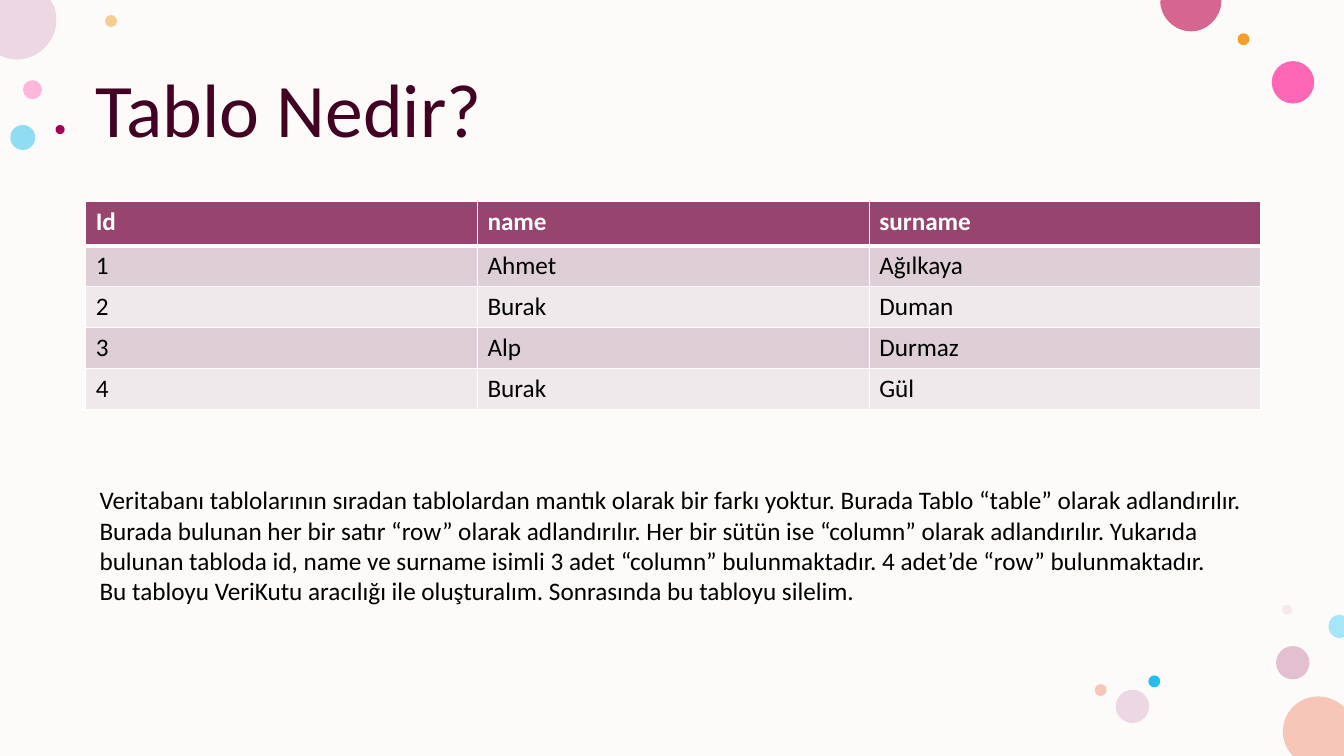
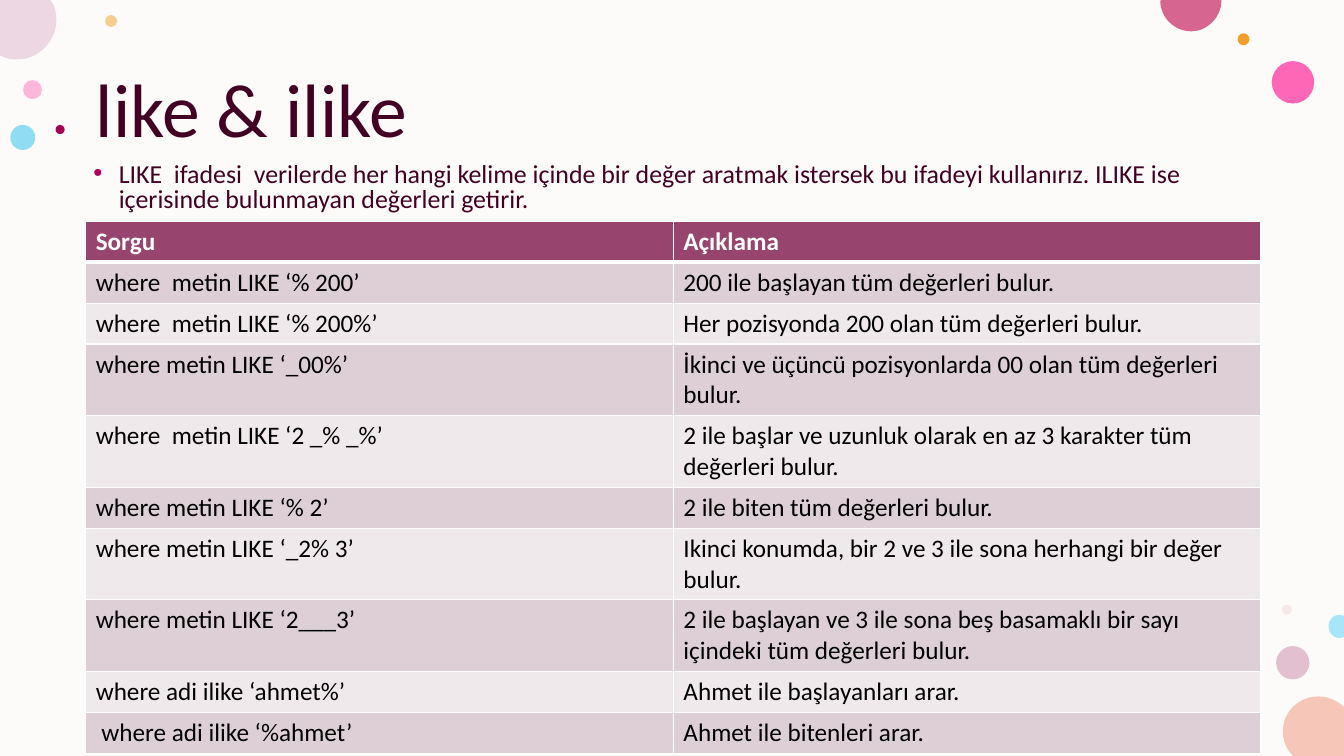
from dataclasses import dataclass
from itertools import chain

from lxml.etree import SubElement
from pptx import Presentation
from pptx.dml.color import RGBColor
from pptx.enum.shapes import MSO_SHAPE
from pptx.enum.text import MSO_ANCHOR, MSO_AUTO_SIZE, PP_ALIGN
from pptx.oxml.ns import qn
from pptx.presentation import Presentation as Deck
from pptx.shapes.autoshape import Shape
from pptx.slide import Slide
from pptx.table import _Cell as Cell
from pptx.text.text import _Paragraph as Paragraph
from pptx.util import Cm, Pt

Point = tuple[float, float]


@dataclass(frozen=True)
class Theme:
    font: str = "Calibri"
    background: str = "FDFBF9"
    heading: str = "420023"
    text: str = "000000"
    bullet: str = "B1005E"
    header_fill: str = "97446E"
    header_text: str = "FFFFFF"
    border: str = "FFFFFF"
    bands: tuple[str, str] = ("DDCFD5", "EFE9EB")
    title_size: float = 54
    bullet_size: float = 18.5
    text_size: float = 18
    thin: float = 1
    thick: float = 3


@dataclass(frozen=True)
class Bubble:
    left: float
    top: float
    diameter: float
    color: str
    opacity: int = 100


@dataclass(frozen=True)
class EdgeBubble:
    color: str
    start: Point
    steps: list[list[Point]]


@dataclass(frozen=True)
class Grid:
    top: float
    row_heights: list[float]
    rows: list[tuple[str, ...]]


THEME = Theme()
SLIDE_WIDTH, SLIDE_HEIGHT = 33.87, 19.05
CONTENT_LEFT, CONTENT_WIDTH = 2.16, 29.62
TITLE_ONLY, TITLE_AND_BODY = 5, 1

BUBBLES = [
    Bubble(0.58, 2.02, 0.48, "FF75BD", 50),
    Bubble(2.65, 0.38, 0.3, "F39E29", 50),
    Bubble(32.16, 16.28, 0.84, "C987A8", 50),
    Bubble(0.26, 3.15, 0.63, "24BEEE", 50),
    Bubble(32.05, 1.54, 1.07, "FF2F9C", 72),
    Bubble(31.19, 0.84, 0.3, "F39E29"),
    Bubble(32.31, 15.24, 0.25, "E3BEBE", 28),
    Bubble(28.94, 17.02, 0.3, "24BEEE"),
    Bubble(28.12, 17.38, 0.84, "EDD7E2"),
    Bubble(27.59, 17.24, 0.3, "F6C7B9"),
    Bubble(1.4, 3.15, 0.23, "A40056"),
]

EDGE_BUBBLES = [
    EdgeBubble("F6C7B9", (33.22, 17.55), [
        [(33.48, 17.55), (33.68, 17.65), (33.87, 17.81)],
        [(33.87, 19.05)], [(32.59, 19.05)], [(32.54, 19)],
        [(32.41, 18.85), (32.33, 18.64), (32.33, 18.44)],
        [(32.33, 17.93), (32.74, 17.55), (33.22, 17.55)],
    ]),
    EdgeBubble("EDD7E2", (0, 0), [
        [(1.27, 0)], [(1.35, 0.13)],
        [(1.4, 0.23), (1.42, 0.36), (1.42, 0.51)],
        [(1.42, 1.04), (0.97, 1.5), (0.43, 1.5)],
        [(0.28, 1.5), (0.15, 1.47), (0.05, 1.42)],
        [(0, 1.4)],
    ]),
    EdgeBubble("D6658F", (29.26, 0), [
        [(30.78, 0)], [(30.78, 0.03)],
        [(30.78, 0.43), (30.43, 0.79), (30.02, 0.79)],
        [(29.59, 0.79), (29.24, 0.43), (29.24, 0.03)],
    ]),
    EdgeBubble("A7E5F8", (33.76, 15.49), [
        [(33.87, 15.52)], [(33.87, 16.05)], [(33.76, 16.08)],
        [(33.6, 16.08), (33.48, 15.95), (33.48, 15.77)],
        [(33.48, 15.62), (33.6, 15.49), (33.76, 15.49)],
    ]),
]

PEOPLE = Grid(5.08, [1.11] + [1.03] * 4, [
    ("Id", "name", "surname"),
    ("1", "Ahmet", "Ağılkaya"),
    ("2", "Burak", "Duman"),
    ("3", "Alp", "Durmaz"),
    ("4", "Burak", "Gül"),
])

QUERIES = Grid(5.58, [0.94, 0.94, 0.94, 1.65, 1.65, 0.94, 1.65, 1.65, 0.94, 0.94], [
    ("Sorgu", "Açıklama"),
    ("where  metin LIKE ‘% 200’", "200 ile başlayan tüm değerleri bulur."),
    ("where  metin LIKE ‘% 200%’", "Her pozisyonda 200 olan tüm değerleri bulur."),
    ("where metin LIKE ‘_00%’", "İkinci ve üçüncü pozisyonlarda 00 olan tüm değerleri bulur."),
    ("where  metin LIKE ‘2 _% _%’",
     "2 ile başlar ve uzunluk olarak en az 3 karakter tüm değerleri bulur."),
    ("where metin LIKE ‘% 2’", "2 ile biten tüm değerleri bulur."),
    ("where metin LIKE ‘_2% 3’", "Ikinci konumda, bir 2 ve 3 ile sona herhangi bir değer bulur."),
    ("where metin LIKE ‘2___3’",
     "2 ile başlayan ve 3 ile sona beş basamaklı bir sayı içindeki tüm değerleri bulur."),
    ("where adi ilike ‘ahmet%’", "Ahmet ile başlayanları arar."),
    (" where adi ilike ‘%ahmet’", "Ahmet ile bitenleri arar."),
])

TABLE_NOTES = [
    "Veritabanı tablolarının sıradan tablolardan mantık olarak bir farkı yoktur. "
    "Burada Tablo “table” olarak adlandırılır.",
    "Burada bulunan her bir satır “row” olarak adlandırılır. Her bir sütün ise “column” olarak "
    "adlandırılır. Yukarıda bulunan tabloda id, name ve surname isimli 3 adet “column” "
    "bulunmaktadır. 4 adet’de “row” bulunmaktadır.",
    "Bu tabloyu VeriKutu aracılığı ile oluşturalım. Sonrasında bu tabloyu silelim.",
]

LIKE_NOTE = (
    "LIKE  ifadesi  verilerde her hangi kelime içinde bir değer aratmak istersek bu ifadeyi "
    "kullanırız. ILIKE ise içerisinde bulunmayan değerleri getirir."
)


def set_font(paragraph: Paragraph, size: float, color: str, bold: bool = False) -> None:
    font = paragraph.font
    font.name, font.size, font.bold = THEME.font, Pt(size), bold
    font.color.rgb = RGBColor.from_string(color)


def place(shape: Shape, left: float, top: float, width: float, height: float) -> None:
    shape.left, shape.top, shape.width, shape.height = map(Cm, (left, top, width, height))


def paint(shape: Shape, color: str) -> Shape:
    shape.shadow.inherit = False
    shape.line.fill.background()
    shape.fill.solid()
    shape.fill.fore_color.rgb = RGBColor.from_string(color)
    return shape


def draw_backdrop(slide: Slide) -> Shape:
    backdrop = slide.shapes.add_shape(
        MSO_SHAPE.RECTANGLE, 0, 0, Cm(SLIDE_WIDTH), Cm(SLIDE_HEIGHT))
    return paint(backdrop, THEME.background)


def draw_bubble(slide: Slide, bubble: Bubble) -> Shape:
    shape = slide.shapes.add_shape(
        MSO_SHAPE.OVAL, *map(Cm, (bubble.left, bubble.top, bubble.diameter, bubble.diameter)))
    paint(shape, bubble.color)
    if bubble.opacity < 100:
        color = next(shape.element.iter(qn("a:srgbClr")))
        SubElement(color, qn("a:alpha"), val=str(bubble.opacity * 1000))
    return shape


def draw_edge_bubble(slide: Slide, bubble: EdgeBubble) -> Shape:
    builder = slide.shapes.build_freeform(*map(Cm, bubble.start))
    points = chain.from_iterable(bubble.steps)
    builder.add_line_segments([(Cm(x), Cm(y)) for x, y in points], close=True)
    shape = builder.convert_to_shape()
    outline = next(shape.element.iter(qn("a:path")))
    lines = iter(outline.findall(qn("a:lnTo")))
    for step in bubble.steps:
        segments = [next(lines) for _ in step]
        if len(segments) == 3:
            curve = outline.makeelement(qn("a:cubicBezTo"))
            segments[0].addprevious(curve)
            for segment in segments:
                curve.append(segment[0])
                outline.remove(segment)
    return paint(shape, bubble.color)


def decorate_master(presentation: Deck, slide: Slide) -> None:
    shapes = [draw_backdrop(slide)]
    shapes += [draw_bubble(slide, bubble) for bubble in BUBBLES]
    shapes += [draw_edge_bubble(slide, bubble) for bubble in EDGE_BUBBLES]
    for index, shape in enumerate(shapes):
        shape.element.nvSpPr.cNvPr.set("id", str(100 + index))
        presentation.slide_master.shapes.element.insert(2 + index, shape.element)


def add_slide(presentation: Deck, layout: int, title: str) -> Slide:
    slide = presentation.slides.add_slide(presentation.slide_layouts[layout])
    shape = slide.shapes.title
    place(shape, CONTENT_LEFT, 1.02, CONTENT_WIDTH, 3.68)
    frame = shape.text_frame
    frame.text = title
    frame.auto_size = MSO_AUTO_SIZE.NONE
    frame.vertical_anchor = MSO_ANCHOR.MIDDLE
    paragraph = frame.paragraphs[0]
    paragraph.alignment = PP_ALIGN.LEFT
    paragraph.line_spacing = 0.9
    set_font(paragraph, THEME.title_size, THEME.heading)
    return slide


def set_borders(cell: Cell, top: float, bottom: float) -> None:
    properties = cell._tc.get_or_add_tcPr()
    widths = {"a:lnL": THEME.thin, "a:lnR": THEME.thin, "a:lnT": top, "a:lnB": bottom}
    for tag, width in widths.items():
        line = SubElement(properties, qn(tag), w=str(Pt(width)))
        SubElement(SubElement(line, qn("a:solidFill")), qn("a:srgbClr"), val=THEME.border)


def add_grid(slide: Slide, grid: Grid) -> None:
    column_count = len(grid.rows[0])
    table = slide.shapes.add_table(
        len(grid.rows), column_count, Cm(CONTENT_LEFT), Cm(grid.top),
        Cm(CONTENT_WIDTH), Cm(sum(grid.row_heights))).table
    for column in table.columns:
        column.width = Cm(CONTENT_WIDTH / column_count)
    for row_index, (row, height) in enumerate(zip(table.rows, grid.row_heights)):
        row.height = Cm(height)
        header = row_index == 0
        fill = THEME.header_fill if header else THEME.bands[(row_index - 1) % 2]
        color = THEME.header_text if header else THEME.text
        for cell, text in zip(row.cells, grid.rows[row_index]):
            set_borders(cell, THEME.thick if row_index == 1 else THEME.thin,
                        THEME.thick if header else THEME.thin)
            cell.fill.solid()
            cell.fill.fore_color.rgb = RGBColor.from_string(fill)
            cell.text = text
            set_font(cell.text_frame.paragraphs[0], THEME.text_size, color, header)


def add_notes_text(slide: Slide, texts: list[str]) -> None:
    box = slide.shapes.add_textbox(Cm(2.26), Cm(12.09), Cm(CONTENT_WIDTH), Cm(3.33))
    frame = box.text_frame
    frame.word_wrap = True
    frame.text = "\n".join(texts)
    for paragraph in frame.paragraphs:
        set_font(paragraph, THEME.text_size, THEME.text)


def fill_body(slide: Slide, text: str) -> None:
    body = slide.placeholders[1]
    place(body, 2.1, 3.99, CONTENT_WIDTH, 1.57)
    frame = body.text_frame
    frame.text = text
    frame.auto_size = MSO_AUTO_SIZE.NONE
    paragraph = frame.paragraphs[0]
    properties = paragraph._p.get_or_add_pPr()
    properties.set("marL", str(Cm(0.64)))
    properties.set("indent", str(-Cm(0.64)))
    SubElement(SubElement(properties, qn("a:buClr")), qn("a:srgbClr"), val=THEME.bullet)
    SubElement(properties, qn("a:buFont"), typeface="Arial")
    SubElement(properties, qn("a:buChar"), char="•")
    paragraph.line_spacing = 0.8
    paragraph.space_before = Pt(0)
    set_font(paragraph, THEME.bullet_size, THEME.heading)


def main() -> None:
    presentation = Presentation()
    presentation.slide_width, presentation.slide_height = Cm(SLIDE_WIDTH), Cm(SLIDE_HEIGHT)

    table_slide = add_slide(presentation, TITLE_ONLY, "Tablo Nedir?")
    decorate_master(presentation, table_slide)
    add_grid(table_slide, PEOPLE)
    add_notes_text(table_slide, TABLE_NOTES)

    like_slide = add_slide(presentation, TITLE_AND_BODY, "like & ilike")
    fill_body(like_slide, LIKE_NOTE)
    add_grid(like_slide, QUERIES)

    presentation.save("out.pptx")


if __name__ == "__main__":
    main()
